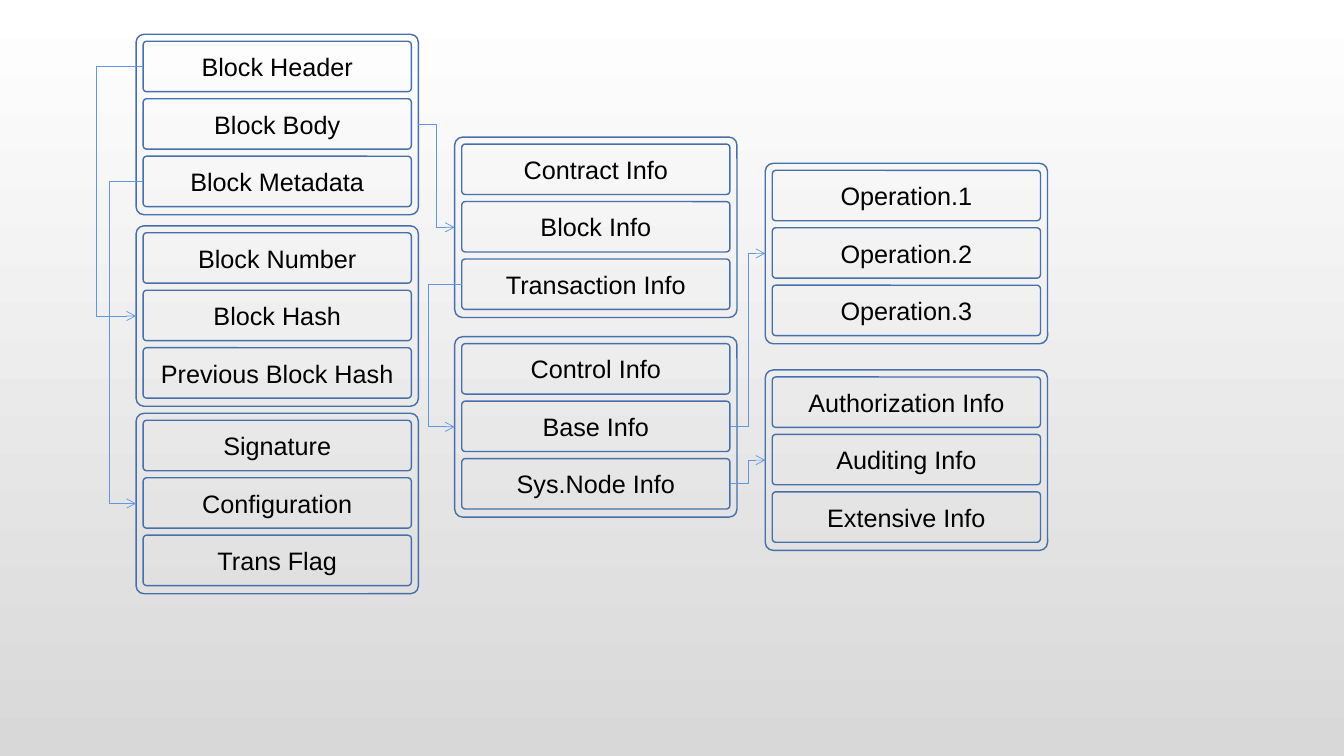
"""Draw the linked block structure diagram on one slide."""
from dataclasses import dataclass

from lxml.etree import SubElement
from pptx import Presentation
from pptx.dml.color import RGBColor
from pptx.enum.shapes import MSO_CONNECTOR, MSO_SHAPE
from pptx.enum.text import MSO_ANCHOR, PP_ALIGN
from pptx.oxml.ns import qn
from pptx.util import Inches, Pt


@dataclass(frozen=True)
class Theme:
    """Hold the colours, font and sizes."""
    top: RGBColor = RGBColor(0xFF, 0xFF, 0xFF)
    base: RGBColor = RGBColor(0xD8, 0xD8, 0xD8)
    edge: RGBColor = RGBColor(0x47, 0x6F, 0xAA)
    link: RGBColor = RGBColor(0x60, 0x96, 0xE6)
    ink: RGBColor = RGBColor(0, 0, 0)
    font: str = "Arial"
    size: int = 18
    border: float = 1
    thin: float = 0.5


LEFT, RIGHT = 1, 3
PAD, PITCH = 0.07, 0.57
WIDTH, HEIGHT, ROW = 2.8, 1.79, 0.5
PANELS = {
    "head": (1.35, 0.34, ("Block Header", "Block Body", "Block Metadata")),
    "hash": (1.35, 2.24, ("Block Number", "Block Hash", "Previous Block Hash")),
    "meta": (1.35, 4.1, ("Signature", "Configuration", "Trans Flag")),
    "body": (4.51, 1.36, ("Contract Info", "Block Info", "Transaction Info")),
    "trans": (4.51, 3.34, ("Control Info", "Base Info", "Sys.Node Info")),
    "ops": (7.59, 1.62, ("Operation.1", "Operation.2", "Operation.3")),
    "audit": (7.59, 3.67, ("Authorization Info", "Auditing Info", "Extensive Info")),
}
LINKS = (
    ("head", RIGHT, "body", 4.33),
    ("Block Header", LEFT, "hash", 0.96),
    ("Block Metadata", LEFT, "meta", 1.09),
    ("Base Info", RIGHT, "ops", 7.42),
    ("Sys.Node Info", RIGHT, "audit", 7.42),
    ("Transaction Info", LEFT, "trans", 4.25),
)


class Board:
    """Draw panels and links on a slide in one style."""

    def __init__(self, slide, theme):
        """Keep the slide and style."""
        self.slide, self.theme = slide, theme
        self.nodes = {}

    def backdrop(self):
        """Shade the slide from top to bottom."""
        fill = self.slide.background.fill
        fill.gradient()
        fill.gradient_angle = 270
        for stop, color in zip(fill.gradient_stops, (self.theme.top, self.theme.base)):
            stop.color.rgb = color

    def box(self, name, x, y, width, height, curve):
        """Add an outlined round box and remember it by name."""
        box = self.slide.shapes.add_shape(
            MSO_SHAPE.ROUNDED_RECTANGLE, Inches(x), Inches(y), Inches(width), Inches(height))
        box.adjustments[0] = curve
        box.shadow.inherit = False
        box.fill.background()
        box.line.color.rgb = self.theme.edge
        box.line.width = Pt(self.theme.border)
        self.nodes[name] = box
        return box

    def label(self, box, text):
        """Write centred text in a box."""
        frame = box.text_frame
        frame.text = text
        frame.word_wrap = True
        frame.vertical_anchor = MSO_ANCHOR.MIDDLE
        para = frame.paragraphs[0]
        para.alignment = PP_ALIGN.CENTER
        font = para.runs[0].font
        font.name, font.size = self.theme.font, Pt(self.theme.size)
        font.color.rgb = self.theme.ink

    def panel(self, name, x, y, rows):
        """Add a frame with evenly stacked rows."""
        self.box(name, x, y, WIDTH, HEIGHT, 0.044)
        for i, text in enumerate(rows):
            row = self.box(text, x + PAD, y + PAD + i * PITCH, WIDTH - 2 * PAD, ROW, 0.07)
            self.label(row, text)

    def link(self, start, side, end, bend):
        """Join two boxes with an arrow that turns at a given x."""
        line = self.slide.shapes.add_connector(MSO_CONNECTOR.ELBOW, 0, 0, 0, 0)
        line.begin_connect(self.nodes[start], side)
        line.end_connect(self.nodes[end], LEFT)
        line.line.color.rgb = self.theme.link
        line.line.width = Pt(self.theme.thin)
        ratio = (Inches(bend) - line.begin_x) / (line.end_x - line.begin_x)
        props = line._element.spPr
        guides = props.find(qn("a:prstGeom")).get_or_add_avLst()
        SubElement(guides, qn("a:gd"), name="adj1", fmla=f"val {round(ratio * 100000)}")
        SubElement(props.find(qn("a:ln")), qn("a:tailEnd"), type="arrow")
        SubElement(props, qn("a:effectLst"))


def main():
    """Build and save the slide."""
    deck = Presentation()
    deck.slide_width, deck.slide_height = Inches(13.33), Inches(7.5)
    board = Board(deck.slides.add_slide(deck.slide_layouts[6]), Theme())
    board.backdrop()
    for name, (x, y, rows) in PANELS.items():
        board.panel(name, x, y, rows)
    for link in LINKS:
        board.link(*link)
    deck.save("out.pptx")


if __name__ == "__main__":
    main()
